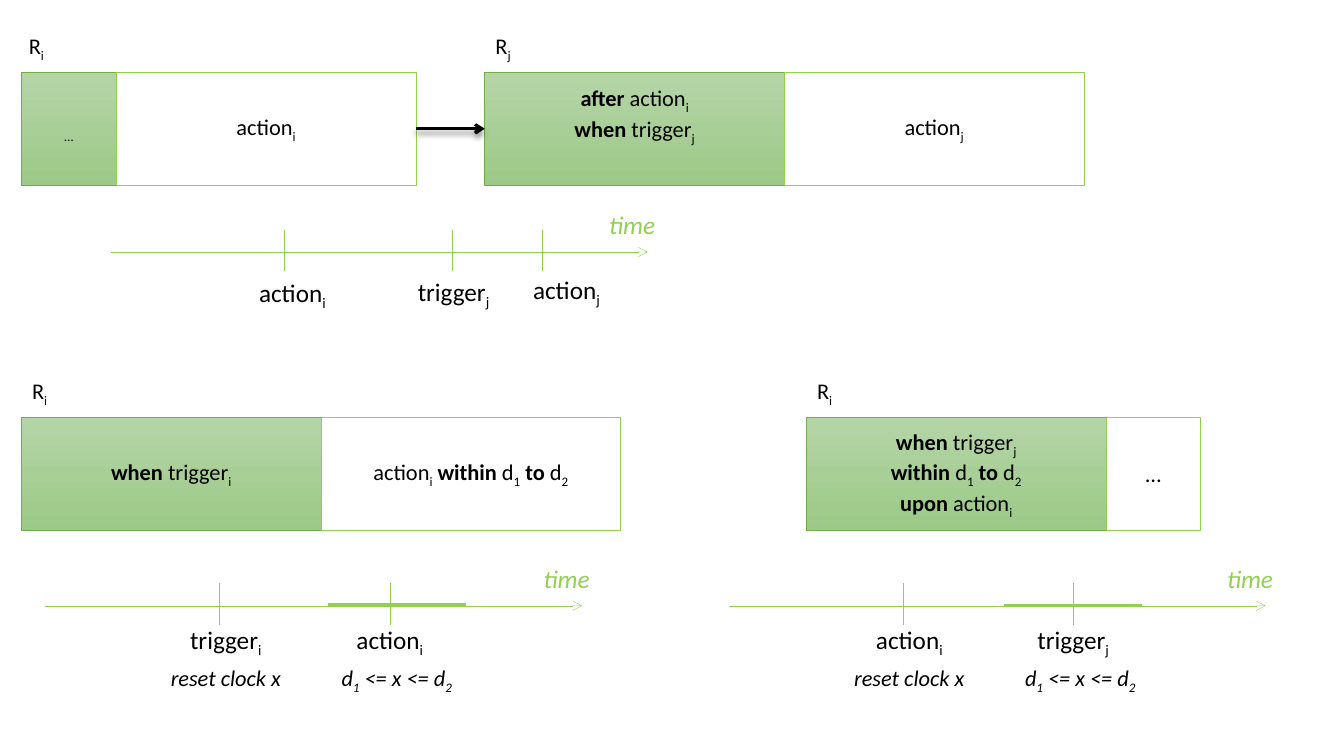
from itertools import groupby

from lxml import etree
from pptx import Presentation
from pptx import util as u
from pptx.dml.color import RGBColor
from pptx.enum import shapes, text
from pptx.oxml import ns

GREEN, DARK_GREEN, BLACK = "92D050", "70AD47", "000000"
WIDE, NARROW, RULE_HEIGHT = 214, 67.7, 81
TRIGGER_WIDTH, ACTION_WIDTH, NOTE_WIDTH, TIME_WIDTH = 66, 63, 98, 47.5


def rgb(value):
    return RGBColor.from_string(value)


def styled_runs(line):
    """Split a line into (text, bold, subscript): * toggles bold, _ lowers one character."""
    marked, bold, lowered = [], False, False
    for char in line:
        if char == "*":
            bold = not bold
        elif char == "_":
            lowered = True
        else:
            marked.append((char, bold, lowered))
            lowered = False
    for (bold, lowered), chars in groupby(marked, key=lambda mark: mark[1:]):
        yield "".join(char for char, _, _ in chars), bold, lowered


class RuleSlide:
    font_name = "Calibri"
    gradient = ("B5D5A7", "9CC987")

    def __init__(self, slide):
        self.shapes = slide.shapes

    def fill_text(self, frame, lines, size=16, color=BLACK, italic=False):
        for number, line in enumerate(lines):
            paragraph = frame.add_paragraph() if number else frame.paragraphs[0]
            paragraph.alignment = text.PP_ALIGN.CENTER
            for words, bold, lowered in styled_runs(line):
                run = paragraph.add_run()
                run.text = words
                look = {"name": self.font_name, "size": u.Pt(size), "bold": bold, "italic": italic}
                for name, value in look.items():
                    setattr(run.font, name, value)
                run.font.color.rgb = rgb(color)
                if lowered:
                    run._r.get_or_add_rPr().set("baseline", "-25000")

    def label(self, center, top, width, words, size=18, **look):
        height = 29 if size == 18 else 26.6
        box = self.shapes.add_textbox(u.Pt(center - width / 2), u.Pt(top), u.Pt(width), u.Pt(height))
        box.text_frame.word_wrap = False
        self.fill_text(box.text_frame, [words], size, **look)

    def cell(self, left, top, width, lines, shaded=False, bottom_inset=3.6):
        box = self.shapes.add_shape(shapes.MSO_SHAPE.RECTANGLE, u.Pt(left), u.Pt(top),
                                    u.Pt(width), u.Pt(RULE_HEIGHT))
        box.shadow.inherit = False
        if shaded:
            box.fill.gradient()
            box.fill.gradient_angle = 270
            for position, (stop, color) in enumerate(zip(box.fill.gradient_stops, self.gradient)):
                stop.position = position
                stop.color.rgb = rgb(color)
        else:
            box.fill.background()
        box.line.color.rgb = rgb(DARK_GREEN if shaded else GREEN)
        box.line.width = u.Pt(0.5 if shaded else 0.25)
        box.text_frame.vertical_anchor = text.MSO_ANCHOR.MIDDLE
        box.text_frame.margin_bottom = u.Pt(bottom_inset)
        self.fill_text(box.text_frame, lines)
        return box

    def rule(self, name, left, top, condition, effect, widths=(WIDE, WIDE), name_shift=0, **inset):
        """Draw a named rule: a shaded condition followed by a plain effect."""
        condition_cell = self.cell(left, top, widths[0], condition, shaded=True, **inset)
        effect_cell = self.cell(left + widths[0], top, widths[1], effect)
        self.label(left + name_shift + 13, top - 32, 26, name, size=16)
        return condition_cell, effect_cell

    def line(self, x1, y1, x2, y2, color=GREEN, width=0.25, arrow=False, shadow=False):
        link = self.shapes.add_connector(shapes.MSO_CONNECTOR.STRAIGHT,
                                         u.Pt(x1), u.Pt(y1), u.Pt(x2), u.Pt(y2))
        link.line.color.rgb = rgb(color)
        link.line.width = u.Pt(width)
        properties = link._element.spPr
        if arrow:
            etree.SubElement(properties.find(ns.qn("a:ln")), ns.qn("a:tailEnd"), type="arrow")
        effects = etree.SubElement(properties, ns.qn("a:effectLst"))
        if shadow:
            outer = etree.SubElement(effects, ns.qn("a:outerShdw"), blurRad=str(u.Pt(4)),
                                     dist=str(u.Pt(3)), dir="5400000", rotWithShape="0")
            shade = etree.SubElement(outer, ns.qn("a:srgbClr"), val=BLACK)
            etree.SubElement(shade, ns.qn("a:alpha"), val="40000")
        return link

    def follow(self, source, target):
        arrow = self.line(299, 92, 346, 92, BLACK, 2.25, arrow=True, shadow=True)
        arrow.begin_connect(source, 3)
        arrow.end_connect(target, 1)

    def timeline(self, left, y, events):
        """Draw a time axis; each event is (tick, label centre, label drop, width, words)."""
        self.line(left, y, left + 383.5, y, arrow=True)
        self.label(left + 372.3, y - 33.8, TIME_WIDTH, "time", color=GREEN, italic=True)
        for tick, center, drop, width, words in events:
            self.line(left + tick, y - 16, left + tick, y + 13.8)
            self.label(left + center, y + drop, width, words)

    def clock_timeline(self, left, y, first, second, window, window_rise=0):
        """Draw a time axis with a clock reset and a window in which the second event falls."""
        self.timeline(left, y, [(124.2, 128.9, 9.4, *first), (246.2, 246, 9.4, *second)])
        self.label(left + 128.9, y + 38.2, NOTE_WIDTH, "reset clock x", size=16, italic=True)
        self.label(left + 251, y + 38.2, NOTE_WIDTH, "d_1 <= x <= d_2", size=16, italic=True)
        self.line(left + window, y - window_rise, left + window + 98.6, y - window_rise, width=2.25)


def main():
    deck = Presentation()
    deck.slide_width, deck.slide_height = u.Pt(960), u.Pt(540)
    page = RuleSlide(deck.slides.add_slide(deck.slide_layouts[6]))

    _, first_action = page.rule("R_i", 15.3, 51.5, ["_…"], ["action_i"], (NARROW, WIDE), name_shift=-2.3)
    after_condition, _ = page.rule("R_j", 346.3, 51.5, ["*after* action_i", "*when* trigger_j"],
                                   ["action_j"], bottom_inset=23)
    page.follow(first_action, after_condition)
    page.timeline(79.2, 180, [
        (124, 129.6, 14.4, ACTION_WIDTH, "action_i"),
        (243.5, 244.8, 13.7, TRIGGER_WIDTH, "trigger_j"),
        (308.2, 325.4, 12.3, ACTION_WIDTH, "action_j"),
    ])

    page.rule("R_i", 15.3, 298, ["*when* trigger_i"], ["action_i *within* d_1 *to* d_2"])
    page.clock_timeline(32.4, 432.7, (TRIGGER_WIDTH, "trigger_i"), (ACTION_WIDTH, "action_i"),
                        window=201.6, window_rise=1.2)

    page.rule("R_i", 576, 298,
              ["*when* trigger_j", "*within* d_1 *to* d_2", "*upon* action_i"], ["…"], (WIDE, NARROW))
    page.clock_timeline(520.6, 432.7, (ACTION_WIDTH, "action_i"), (TRIGGER_WIDTH, "trigger_j"),
                        window=196.5)

    deck.save("out.pptx")


if __name__ == "__main__":
    main()
